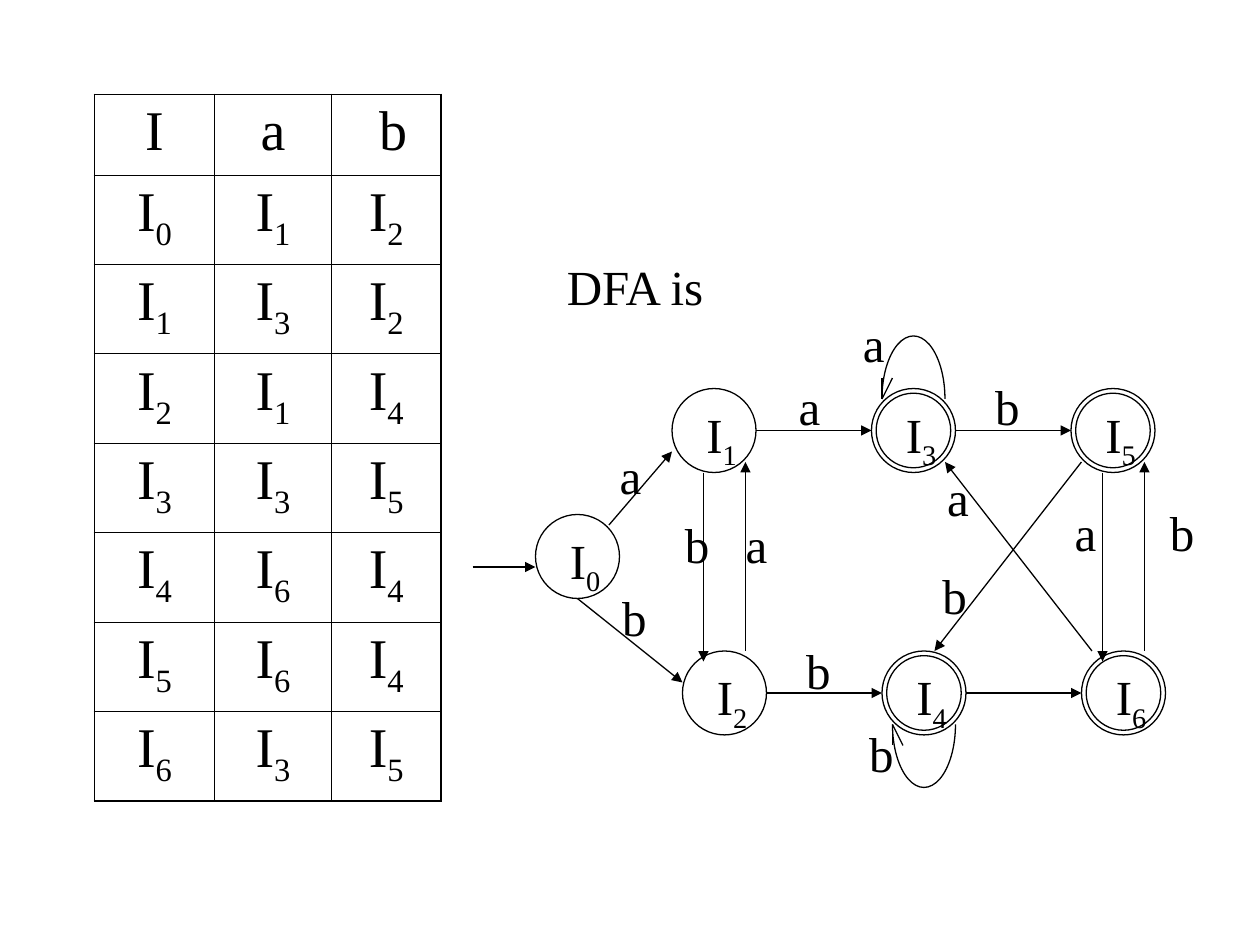
"""Build a slide with a DFA transition table and its state diagram."""
from lxml import etree
from pptx import Presentation
from pptx.dml.color import RGBColor
from pptx.enum.shapes import MSO_CONNECTOR as CONN, MSO_SHAPE as SHAPE
from pptx.enum.text import MSO_AUTO_SIZE as AUTO, PP_ALIGN as ALIGN
from pptx.oxml import parse_xml
from pptx.oxml.ns import nsdecls, qn
from pptx.util import Pt

FONT = "Times New Roman"
BLACK = "000000"
rgb = RGBColor.from_string


def write(tf, text, sub="", size=28, align=ALIGN.LEFT):
    p = tf.paragraphs[0]
    p.alignment = align
    for part, base in ((text, 0), (sub, -25000)):
        if part:
            r = p.add_run()
            r.text = part
            r.font.name = FONT
            r.font.size = Pt(size)
            r.font.color.rgb = rgb(BLACK)
            if base:
                r._r.get_or_add_rPr().set("baseline", str(base))


def add_line(x1, y1, x2, y2, arrow=False):
    s = shapes.add_connector(CONN.STRAIGHT, Pt(x1), Pt(y1), Pt(x2), Pt(y2))
    s.line.color.rgb = rgb(BLACK)
    s.line.width = Pt(0.75)
    if arrow:
        etree.SubElement(s.line._get_or_add_ln(), qn("a:tailEnd"), type="triangle")
    etree.SubElement(s._element.spPr, qn("a:effectLst"))


prs = Presentation()
prs.slide_width, prs.slide_height = Pt(720), Pt(540)
shapes = prs.slides.add_slide(prs.slide_layouts[6]).shapes

rows = ["I a b", "I0 I1 I2", "I1 I3 I2", "I2 I1 I4", "I3 I3 I5",
        "I4 I6 I4", "I5 I6 I4", "I6 I3 I5"]
col_widths = [68.5, 67, 62.5]
row_heights = [46] + [51.1] * 7
last_row, last_col = len(rows) - 1, len(col_widths) - 1
table = shapes.add_table(len(rows), len(col_widths), Pt(54), Pt(54),
                         Pt(sum(col_widths)), Pt(sum(row_heights))).table
table.first_row = table.horz_banding = False
for col, width in zip(table.columns, col_widths):
    col.width = Pt(width)
for i, (row, height) in enumerate(zip(rows, row_heights)):
    table.rows[i].height = Pt(height)
    for j, entry in enumerate(row.split()):
        cell = table.cell(i, j)
        cell.fill.background()
        cell.margin_left = Pt(15.2 if entry == "b" else 7.2)
        write(cell.text_frame, entry[0], sub=entry[1:], size=32, align=ALIGN.CENTER)
        outer = {"L": j == 0, "R": j == last_col, "T": i == 0, "B": i == last_row}
        for k, (side, is_outer) in enumerate(outer.items()):
            width = Pt(1.08 if is_outer else 0.45)
            cell._tc.get_or_add_tcPr().insert(k, parse_xml(
                f'<a:ln{side} {nsdecls("a")} w="{width}"><a:solidFill>'
                f'<a:srgbClr val="{BLACK}"/></a:solidFill></a:ln{side}>'))

states = [(306, 294), (384, 222), (390, 372), (498, 222),
          (504, 372), (612, 222), (618, 372)]
accepting = {3, 4, 5, 6}
loops = [(504, 192, 108, 0), (510, 378, 0, 108)]
outlines = [(SHAPE.DONUT if n in accepting else SHAPE.OVAL, x, y, 48, 48,
             [0.056] if n in accepting else [])
            for n, (x, y) in enumerate(states)]
outlines += [(SHAPE.ARC, x, y, 36, 72, [start, end]) for x, y, start, end in loops]
for kind, x, y, w, h, adjustments in outlines:
    s = shapes.add_shape(kind, Pt(x), Pt(y), Pt(w), Pt(h))
    s.shadow.inherit = False
    s.fill.background()
    s.line.color.rgb = rgb(BLACK)
    s.line.width = Pt(0.75)
    for k, value in enumerate(adjustments):
        s.adjustments[k] = value

arrows = [
    (270, 324, 306, 324), (348, 300, 384, 258), (330, 342, 390, 390),
    (426, 372, 426, 264), (402, 270, 402, 378), (432, 246, 498, 246),
    (438, 396, 504, 396), (546, 246, 612, 246), (552, 396, 618, 396),
    (618, 264, 534, 372), (624, 372, 540, 264), (654, 372, 654, 264),
    (630, 270, 630, 378),
]
for ends in arrows:
    add_line(*ends, arrow=True)
for x, y, rise in ((504, 228, -12), (510, 414, 12)):
    for dx in (0, 6):
        add_line(x, y, x + dx, y + rise)

labels = [(x + 12.5, y + 5.5, 32, 45, "I", str(n)) for n, (x, y) in enumerate(states)]
labels.append((316.8, 143.3, 95.8, 41, "DFA is", ""))
edge_labels = [
    ("a", 347, 251.3), ("b", 384.3, 290.2), ("a", 419, 290.2), ("a", 449.3, 211.7),
    ("a", 607, 283.7), ("b", 661.5, 283.7), ("a", 534.2, 263.5), ("b", 348.5, 331.9),
    ("b", 453.6, 362.2), ("b", 531.4, 319.7), ("b", 561.6, 211.7), ("b", 489.6, 409.7),
    ("a", 486, 175.7),
]
labels += [(x, y, 27 if text == "a" else 28.4, 41, text, "") for text, x, y in edge_labels]
for x, y, w, h, text, sub in labels:
    tf = shapes.add_textbox(Pt(x), Pt(y), Pt(w), Pt(h)).text_frame
    tf.word_wrap = False
    tf.auto_size = AUTO.SHAPE_TO_FIT_TEXT
    write(tf, text, sub=sub)

prs.save("out.pptx")
